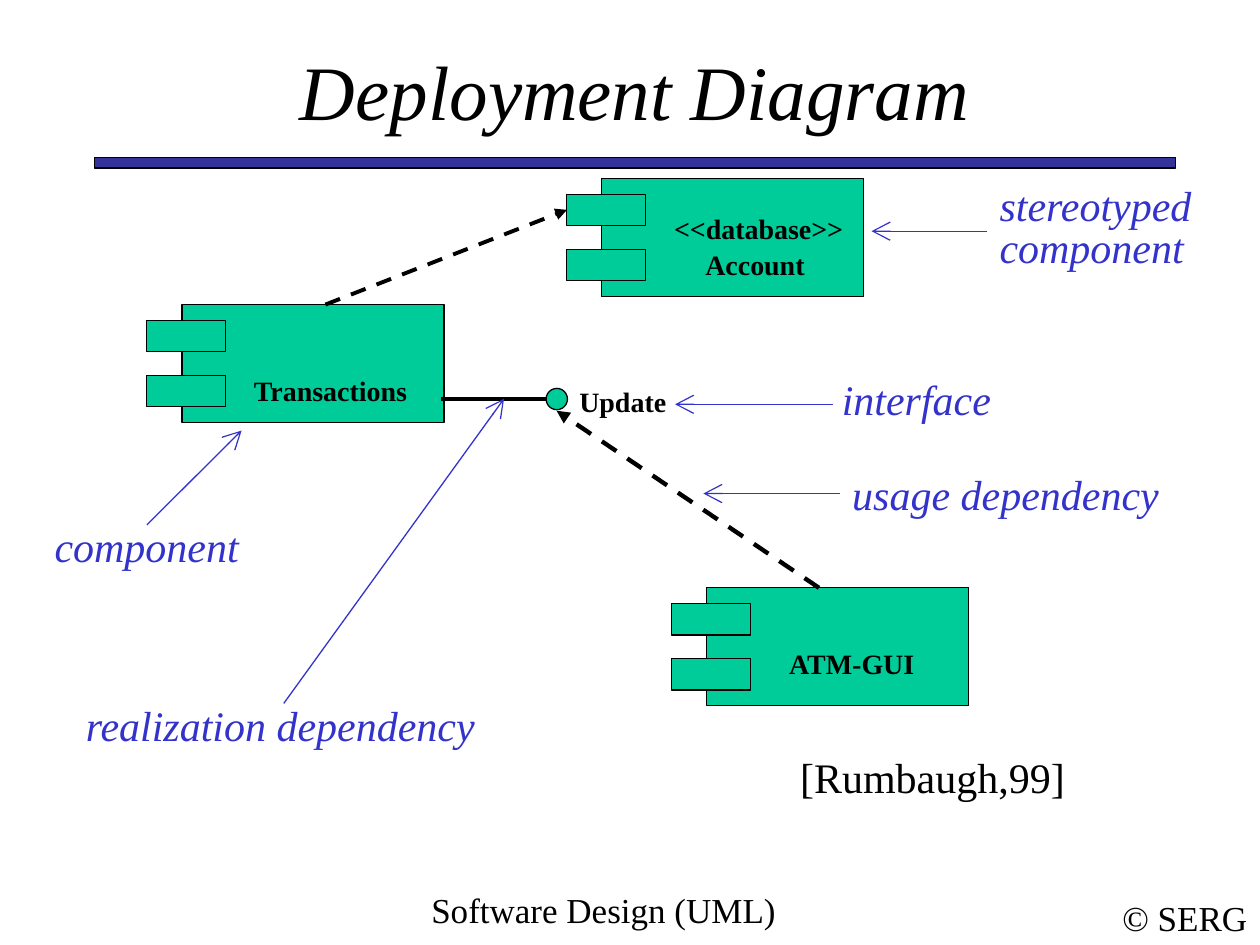
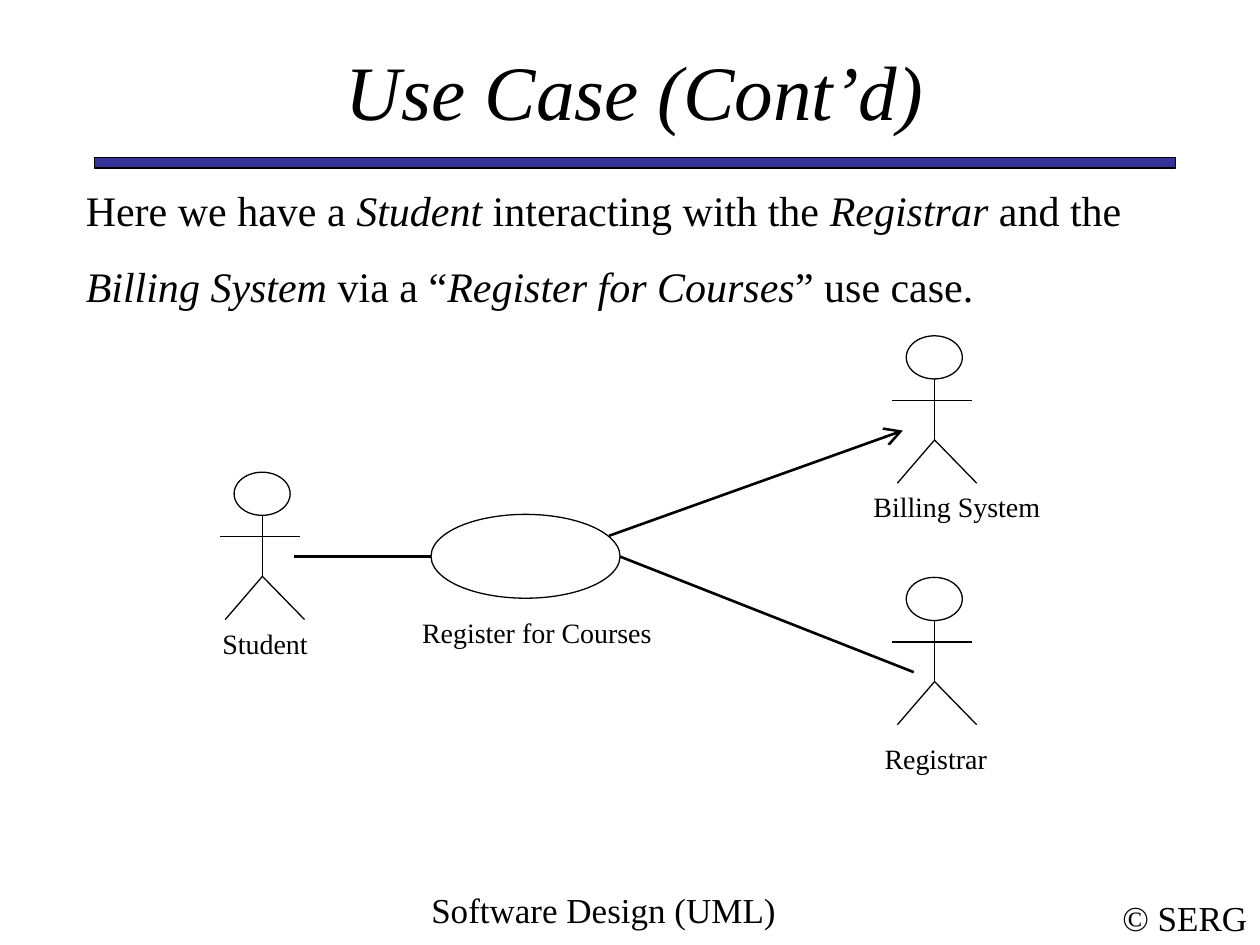
from lxml import etree
from pptx import Presentation
from pptx.dml.color import RGBColor
from pptx.enum.dml import MSO_LINE_DASH_STYLE
from pptx.enum.shapes import MSO_CONNECTOR, MSO_SHAPE
from pptx.enum.text import MSO_ANCHOR, MSO_AUTO_SIZE, PP_ALIGN
from pptx.oxml.ns import qn
from pptx.util import Cm, Pt

RECT, OVAL = MSO_SHAPE.RECTANGLE, MSO_SHAPE.OVAL
STRAIGHT = MSO_CONNECTOR.STRAIGHT
DASH = MSO_LINE_DASH_STYLE.DASH
LEFT, CENTER = PP_ALIGN.LEFT, PP_ALIGN.CENTER
TOP, MIDDLE = MSO_ANCHOR.TOP, MSO_ANCHOR.MIDDLE
NO_FIT = MSO_AUTO_SIZE.NONE

BLACK = RGBColor(0x00, 0x00, 0x00)
WHITE = RGBColor(0xFF, 0xFF, 0xFF)
BAND_BLUE = RGBColor(0x33, 0x33, 0x99)
NOTE_BLUE = RGBColor(0x33, 0x33, 0xCC)
GREEN = RGBColor(0x00, 0xCC, 0x99)

FONT = "Times New Roman"
TITLE = {"name": FONT, "size": Pt(44), "italic": True, "bold": False}
FOOTER = {"name": FONT, "size": Pt(20)}
BODY = {"name": FONT, "size": Pt(24)}
NOTE = {**BODY, "italic": True}
LABEL = {"name": FONT, "size": Pt(16)}
NAME = {**LABEL, "bold": True}

OPEN_HEAD = {"type": "arrow", "w": "lg", "len": "lg"}
SOLID_HEAD = {"type": "triangle"}


# Shared helpers
def style_font(font, style, color=BLACK):
    for key, value in style.items():
        setattr(font, key, value)
    font.color.rgb = color


def add_text(s, box, paragraphs, style, color=BLACK, align=LEFT, anchor=TOP,
             wrap=True):
    """Each paragraph is a string or a list of (text, italic) runs."""
    tf = s.shapes.add_textbox(*map(Cm, box)).text_frame
    tf.word_wrap = wrap
    tf.vertical_anchor = anchor
    for i, runs in enumerate(paragraphs):
        p = tf.add_paragraph() if i else tf.paragraphs[0]
        p.alignment = align
        if i:
            p.space_before = Pt(15)
        if isinstance(runs, str):
            runs = [(runs, style.get("italic", False))]
        for text, italic in runs:
            r = p.add_run()
            r.text = text
            style_font(r.font, {**style, "italic": italic}, color)


def add_outlined(parent, kind, box, fill=None):
    sp = parent.shapes.add_shape(kind, *map(Cm, box))
    sp.shadow.inherit = False
    if fill is None:
        sp.fill.background()
    else:
        sp.fill.solid()
        sp.fill.fore_color.rgb = fill
    sp.line.color.rgb = BLACK
    sp.line.width = Pt(0.75)


def add_line(parent, start, end, color=BLACK, width=0.75, dash=None, head=None):
    cn = parent.shapes.add_connector(STRAIGHT, *map(Cm, (*start, *end)))
    cn.line.color.rgb = color
    cn.line.width = Pt(width)
    if dash:
        cn.line.dash_style = dash
    sp_pr = cn._element.spPr
    if head:
        etree.SubElement(sp_pr.find(qn("a:ln")), qn("a:tailEnd"), head)
    etree.SubElement(sp_pr, qn("a:effectLst"))


def add_slide(prs, title):
    """Title, blue band and footers common to every slide."""
    s = prs.slides.add_slide(prs.slide_layouts[5])
    sp = s.shapes.title
    sp.left, sp.top, sp.width, sp.height = map(Cm, (1.9, 1.06, 21.8, 1.48))
    tf = sp.text_frame
    tf.text = title
    tf.auto_size = NO_FIT
    tf.vertical_anchor = MIDDLE
    p = tf.paragraphs[0]
    p.alignment = CENTER
    style_font(p.runs[0].font, TITLE)
    add_outlined(s, RECT, (1.9, 3.17, 21.8, 0.22), BAND_BLUE)
    add_text(s, (6.56, 17.78, 11.22, 1.27), ["Software Design (UML)"], FOOTER,
             align=CENTER)
    add_text(s, (22.37, 17.93, 3.03, 1.12), ["© SERG"], FOOTER,
             align=CENTER, anchor=MIDDLE, wrap=False)
    return s


# Deployment diagram
def add_component(s, x, y):
    """Component box at x, y with two lugs on its left edge."""
    group = s.shapes.add_group_shape()
    add_outlined(group, RECT, (x, y, 5.28, 2.38), GREEN)
    for drop in (0.32, 1.43):
        add_outlined(group, RECT, (x - 0.71, y + drop, 1.59, 0.63), GREEN)


def add_note(s, box, text, arrow=None):
    add_text(s, box, [text], NOTE, NOTE_BLUE)
    if arrow:
        add_line(s, *arrow, color=NOTE_BLUE, head=OPEN_HEAD)


def deployment_slide(prs):
    s = add_slide(prs, "Deployment Diagram")

    # Components and their names
    for corner in ((3.67, 6.14), (12.13, 3.6), (14.25, 11.85)):
        add_component(s, *corner)
    for x, y, width, name in (
        (4.87, 7.41, 4.45, "Transactions"),
        (13.34, 4.15, 4.02, "<<database>>"),
        (13.97, 4.87, 3.18, "Account"),
        (15.66, 12.91, 3.18, "ATM-GUI"),
        (11.43, 7.62, 2.97, "Update"),
    ):
        add_text(s, (x, y, width, 0.94), [name], NAME)

    # Interface and dependencies
    add_outlined(s, OVAL, (11.01, 7.83, 0.43, 0.43), GREEN)
    add_line(s, (11.01, 8.04), (8.89, 8.04), width=2.25)
    add_line(s, (6.56, 6.14), (11.43, 4.23), width=2.25, dash=DASH,
             head=SOLID_HEAD)
    add_line(s, (16.51, 11.85), (11.22, 8.28), width=2.5, dash=DASH,
             head=SOLID_HEAD)

    # Notes with arrows
    for box, text, arrow in (
        ((0.85, 10.37, 5.29, 1.27), "component", ((2.96, 10.58), (4.87, 8.68))),
        ((1.48, 13.97, 9.74, 1.27), "realization dependency",
         ((5.72, 14.18), (10.16, 8.04))),
        ((16.72, 7.41, 3.6, 1.27), "interface", ((16.79, 8.15), (13.61, 8.15))),
        ((16.93, 9.32, 6.77, 1.27), "usage dependency",
         ((16.93, 9.95), (14.18, 9.95))),
        ((19.9, 3.5, 4.45, 1.27), "stereotyped", ((19.9, 4.66), (17.57, 4.66))),
        ((19.9, 4.34, 5.29, 1.27), "component", None),
    ):
        add_note(s, box, text, arrow)
    add_text(s, (15.88, 15.03, 9.52, 1.27), ["[Rumbaugh,99]"], BODY)


# Use case diagram
def add_actor(s, x, y):
    """Stick figure whose box starts at x, y."""
    group = s.shapes.add_group_shape()
    neck, hip = (x + 0.85, y + 0.87), (x + 0.85, y + 2.1)
    add_outlined(group, OVAL, (x + 0.28, y, 1.13, 0.87))
    add_line(group, neck, hip)
    for foot in (0.1, 1.7):
        add_line(group, hip, (x + foot, y + 2.97))
    add_line(group, (x, y + 1.3), (x + 1.6, y + 1.3))


def use_case_slide(prs):
    s = add_slide(prs, "Use Case (Cont’d)")

    # Actors
    for corner, label_box, name in (
        ((4.44, 9.52), (4.04, 12.5, 2.61, 0.94), "Student"),
        ((17.99, 6.77), (17.16, 9.74, 4.26, 0.94), "Billing System"),
        ((17.99, 11.64), (17.38, 14.82, 2.97, 0.94), "Registrar"),
    ):
        add_actor(s, *corner)
        add_text(s, label_box, [name], LABEL, align=CENTER, anchor=MIDDLE,
                 wrap=False)

    # Use case and its associations
    add_outlined(s, OVAL, (8.69, 10.37, 3.81, 1.69), WHITE)
    add_text(s, (8.26, 12.28, 5.93, 0.94), ["Register for Courses"], LABEL)
    for start, end, head in (
        ((5.93, 11.22), (8.69, 11.22), None),
        ((12.28, 10.8), (18.2, 8.68), OPEN_HEAD),
        ((12.5, 11.22), (18.42, 13.55), None),
    ):
        add_line(s, start, end, width=1.5, head=head)

    # Explanation
    add_text(s, (1.48, 3.58, 21.59, 2.82), [
        [("Here we have a ", False), ("Student", True),
         (" interacting with the ", False), ("Registrar", True),
         (" and the", False)],
        [("Billing System", True), (" via a “", False),
         ("Register for Courses", True), ("” use case.", False)],
    ], BODY, anchor=MIDDLE, wrap=False)


def main():
    prs = Presentation()
    prs.slide_width, prs.slide_height = Cm(25.4), Cm(19.05)
    deployment_slide(prs)
    use_case_slide(prs)
    prs.save("out.pptx")


if __name__ == "__main__":
    main()
